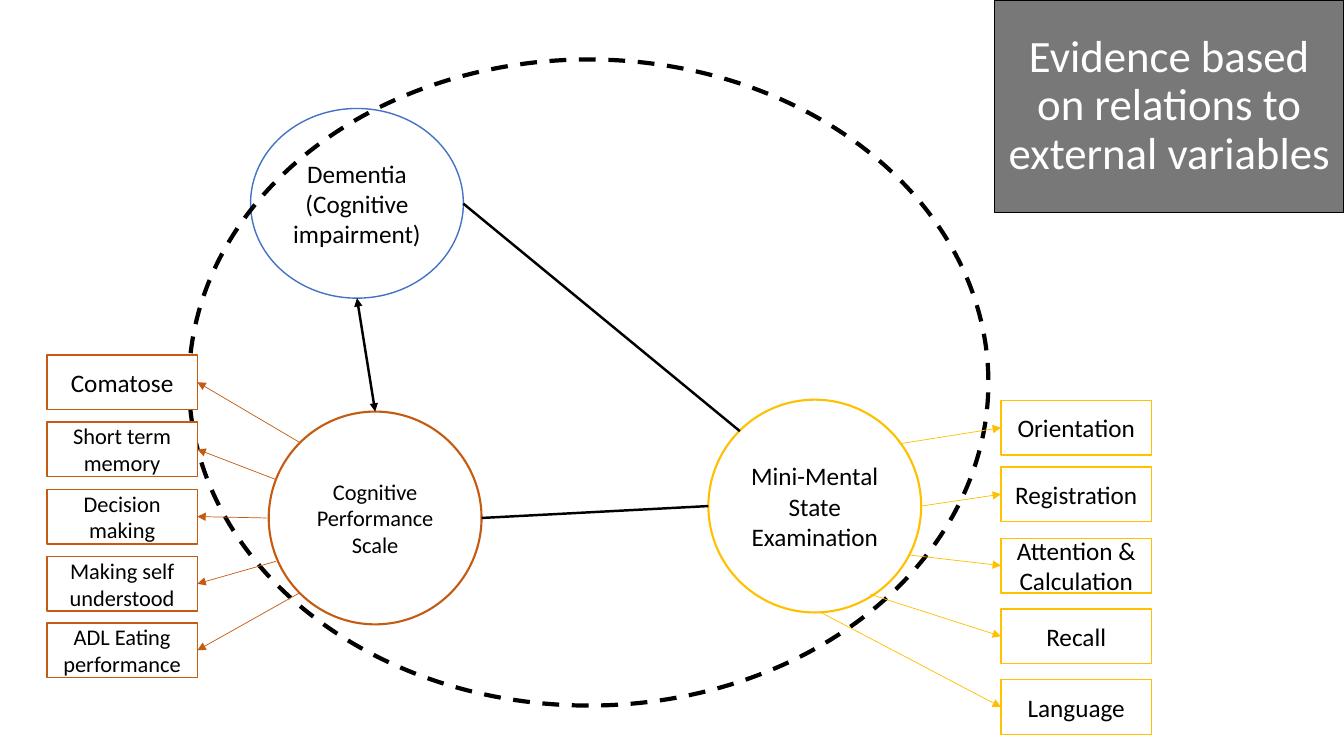
"""Build the slide on evidence based on relations to external variables."""
from lxml.etree import SubElement
from pptx import Presentation
from pptx.dml.color import RGBColor
from pptx.enum.dml import MSO_LINE as DASH
from pptx.enum.shapes import MSO_CONNECTOR as CXN, MSO_SHAPE as SHAPE
from pptx.enum.text import MSO_ANCHOR as ANCHOR, MSO_AUTO_SIZE as AUTO, PP_ALIGN as ALIGN
from pptx.oxml.ns import qn
from pptx.util import Pt

BLACK = RGBColor(0x00, 0x00, 0x00)
WHITE = RGBColor(0xFF, 0xFF, 0xFF)
BLUE = RGBColor(0x44, 0x72, 0xC4)
ORANGE = RGBColor(0xC5, 0x5A, 0x11)
GOLD = RGBColor(0xFF, 0xC0, 0x00)


def add_node(shapes, kind, box, color, weight, text="", size=18):
    sp = shapes.add_shape(kind, *map(Pt, box))
    sp.shadow.inherit = False
    sp.fill.solid()
    sp.fill.fore_color.rgb = WHITE
    sp.line.color.rgb = color
    sp.line.width = Pt(weight)
    tf = sp.text_frame
    tf.word_wrap = True
    tf.vertical_anchor = ANCHOR.MIDDLE
    tf.text = text
    for p in tf.paragraphs:
        p.alignment = ALIGN.CENTER
        p.font.size = Pt(size)
        p.font.name = "Calibri"
        p.font.color.rgb = BLACK
    return sp


def add_link(shapes, start, end, color, weight, arrows=()):
    c = shapes.add_connector(CXN.STRAIGHT, *map(Pt, (*start, *end)))
    c.line.color.rgb = color
    c.line.width = Pt(weight)
    ln = c.line._get_or_add_ln()
    for tag in arrows:
        SubElement(ln, qn(tag), type="triangle")
    SubElement(c._element.spPr, qn("a:effectLst"))
    return c


prs = Presentation()
prs.slide_width, prs.slide_height = Pt(960), Pt(540)
s = prs.slides.add_slide(prs.slide_layouts[5])

add_node(s.shapes, SHAPE.OVAL, (179, 77.5, 152, 135.5), BLUE, 1,
         "Dementia\n(Cognitive impairment)")
ring = add_node(s.shapes, SHAPE.OVAL, (135, 42.5, 571, 461.5), BLACK, 3)
ring.fill.background()
ring.line.dash_style = DASH.DASH

scales = [
    {"name": "Cognitive Performance Scale", "size": 16, "at": (192, 294),
     "color": ORANGE, "left": 33.5, "side": 3,
     "items": [("Comatose", 18, 253.5, (214, 316)),
               ("Short term memory", 16, 301.5, (197, 342.5)),
               ("Decision making", 16, 349.5, (190.5, 370)),
               ("Making self understood", 16, 397.5, (197, 401)),
               ("ADL Eating performance", 16, 445, (214, 423.5))]},
    {"name": "Mini-Mental\nState Examination", "size": 18, "at": (506, 285.5),
     "color": GOLD, "left": 715, "side": 1,
     "items": [("Orientation", 18, 286, (642.5, 317)),
               ("Registration", 18, 333.5, (658, 361.5)),
               ("Attention & Calculation", 18, 384.5, (650, 396.5)),
               ("Recall", 18, 435, (621.5, 424.5)),
               ("Language", 18, 485.5, (585.5, 437))]},
]
for scale in scales:
    shapes = s.shapes.add_group_shape().shapes
    color = scale["color"]
    add_node(shapes, SHAPE.OVAL, (*scale["at"], 152, 152), color, 1.5,
             scale["name"], scale["size"])
    for label, size, top, start in scale["items"]:
        sp = add_node(shapes, SHAPE.RECTANGLE, (scale["left"], top, 107.5, 39),
                      color, 1, label, size)
        edge = scale["left"] + (107.5 if scale["side"] == 3 else 0)
        c = add_link(shapes, start, (edge, top + 19.5), color, 0.5, ["a:tailEnd"])
        c.end_connect(sp, scale["side"])

for start, end, arrows in [
    ((344, 370), (506, 361.5), []),
    ((255, 213), (268, 294), ["a:headEnd", "a:tailEnd"]),
    ((331, 145.5), (528.5, 308), []),
]:
    add_link(s.shapes, start, end, BLACK, 1.75, arrows)

title = s.shapes.title
box = {"left": 710.5, "top": 0, "width": 249.5, "height": 152}
for name, value in box.items():
    setattr(title, name, Pt(value))
title.fill.solid()
title.fill.fore_color.rgb = BLACK
srgb = title._element.spPr.find(qn("a:solidFill")).find(qn("a:srgbClr"))
SubElement(srgb, qn("a:alpha"), val="53000")
title.line.color.rgb = BLACK
title.line.width = Pt(1)
tf = title.text_frame
tf.text = "Evidence based on relations to external variables"
frame = {"word_wrap": True, "auto_size": AUTO.NONE, "vertical_anchor": ANCHOR.MIDDLE}
for name, value in frame.items():
    setattr(tf, name, value)
p = tf.paragraphs[0]
p.alignment = ALIGN.CENTER
p.line_spacing = 0.9
p.font.size = Pt(32)
p.font.name = "Calibri"
p.font.color.rgb = WHITE

prs.save("out.pptx")
